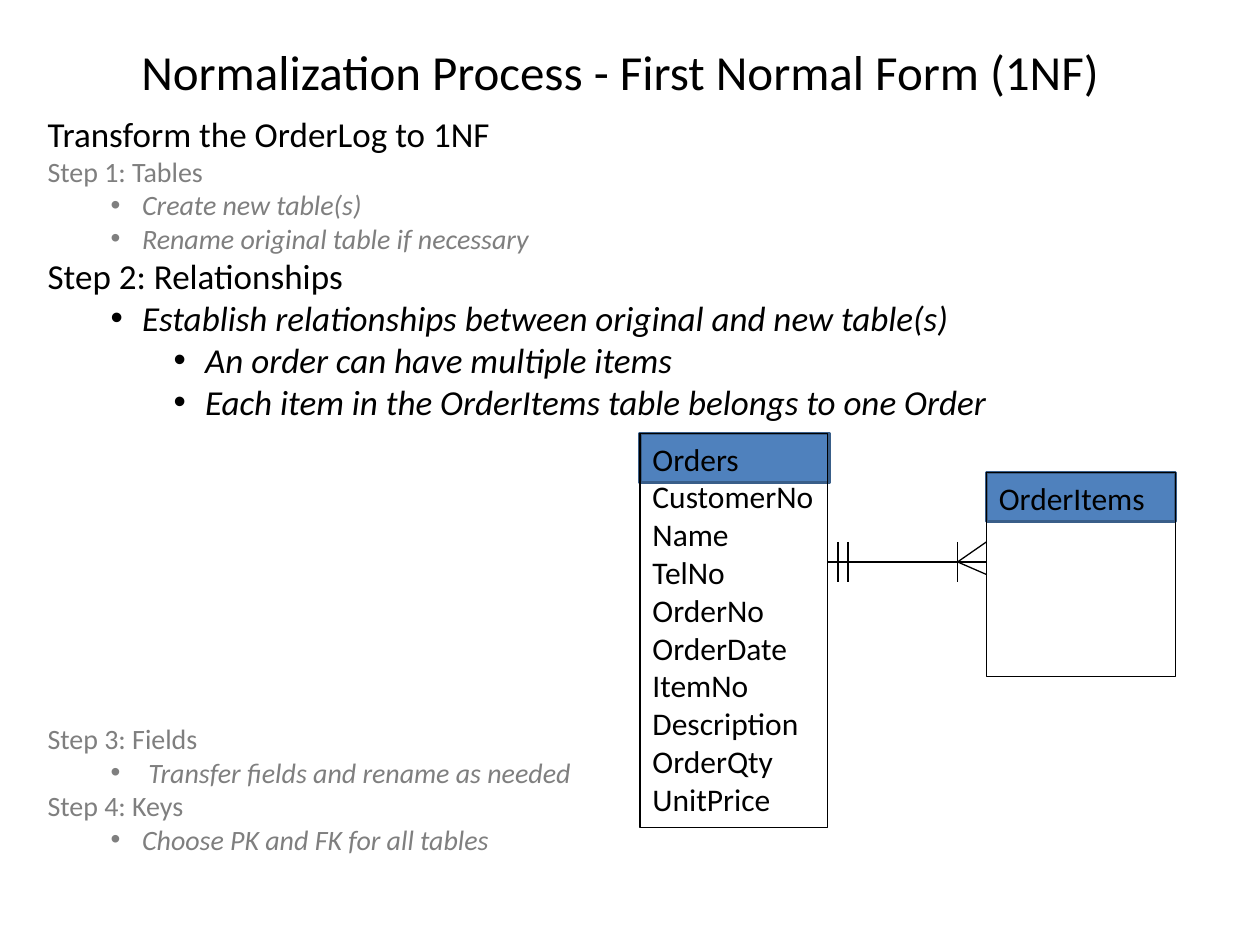
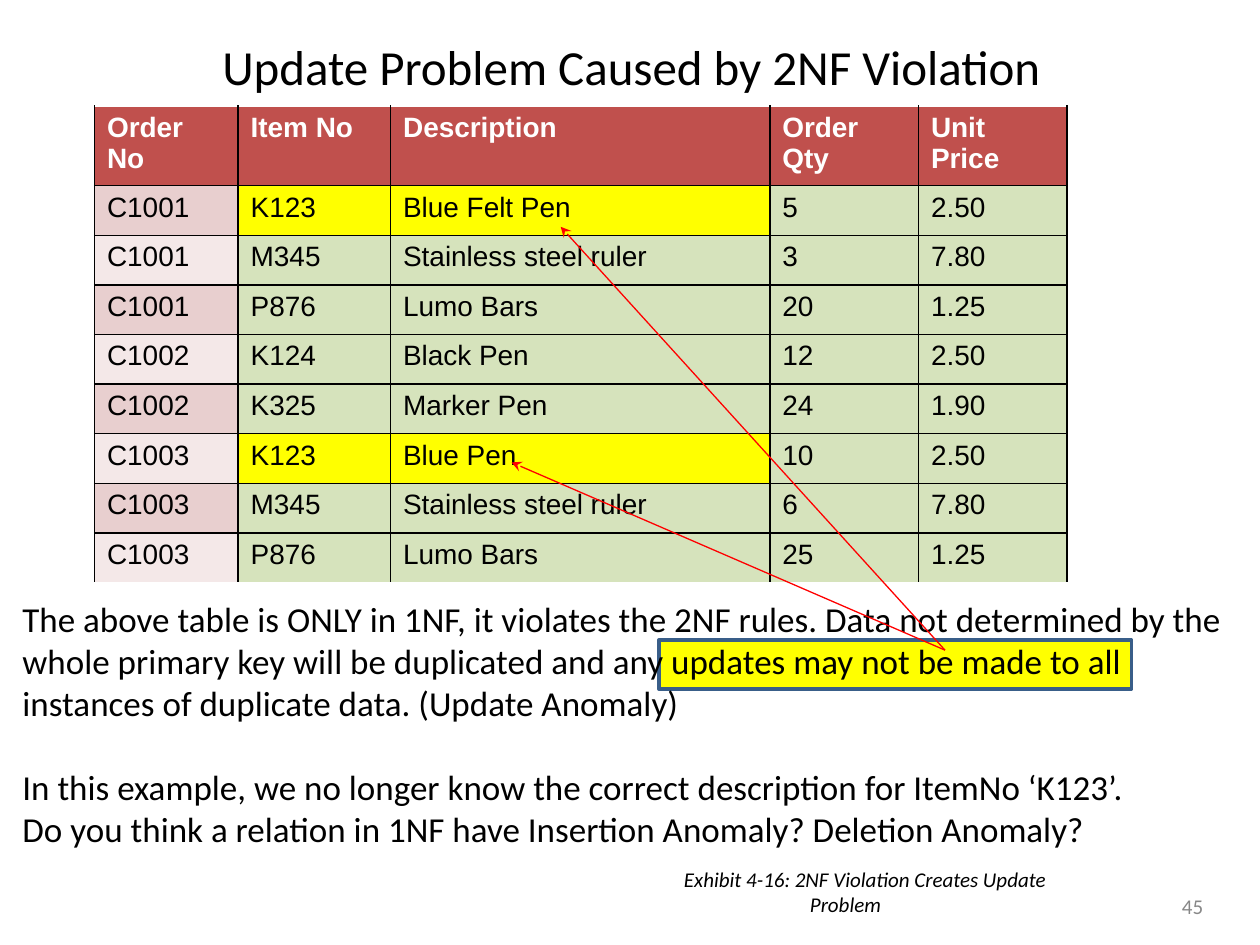
"""Build two slides on database normalization: 1NF relationships and the 2NF update problem."""
from dataclasses import dataclass

from lxml import etree
from pptx import Presentation
from pptx import util as u
from pptx.dml.color import RGBColor
from pptx.enum import shapes, text
from pptx.oxml import ns

PX = 9144


@dataclass(frozen=True)
class Theme:
    body_font: str = "Calibri"
    table_font: str = "Arial"
    title_size: int = 28
    body_size: int = 20
    entity_size: int = 18
    muted_size: int = 16
    small_size: int = 12
    black: str = "000000"
    white: str = "FFFFFF"
    muted: str = "7F7F7F"
    page_number: str = "888888"
    blue: str = "4F81BD"
    dark_blue: str = "395E89"
    yellow: str = "FFFF00"
    red: str = "FF0000"
    table_header: str = "C0504D"
    table_green: str = "D6E3BC"
    key_bands: tuple = ("E8CFCF", "F4E8E8")
    thin: float = 0.75
    table_rule: int = 1
    thick: int = 2


@dataclass
class Line:
    words: str
    size: int
    color: str = "000000"
    font: str = "Calibri"
    bold: bool = False
    italic: bool = False
    align: text.PP_ALIGN = text.PP_ALIGN.LEFT
    margin: int = 0
    hanging: int = 0
    before: float = 0


theme = Theme()
CENTER = text.PP_ALIGN.CENTER
MIDDLE = text.MSO_ANCHOR.MIDDLE


def add_box(slide, bounds, lines=(), fill=None, outline=None, weight=theme.thin, anchor=text.MSO_ANCHOR.TOP):
    """Add a rectangle or, without an outline, a text box, and write its lines."""
    bounds = [length * PX for length in bounds]
    if outline:
        shape = slide.shapes.add_shape(shapes.MSO_SHAPE.RECTANGLE, *bounds)
        shape.shadow.inherit = False
        shape.line.color.rgb = RGBColor.from_string(outline)
        shape.line.width = u.Pt(weight)
    else:
        shape = slide.shapes.add_textbox(*bounds)
    if fill:
        shape.fill.solid()
        shape.fill.fore_color.rgb = RGBColor.from_string(fill)
    else:
        shape.fill.background()
    frame = shape.text_frame
    frame.word_wrap = True
    frame.vertical_anchor = anchor
    for index, line in enumerate(lines):
        paragraph = frame.add_paragraph() if index else frame.paragraphs[0]
        paragraph.alignment = line.align
        properties = paragraph._p.get_or_add_pPr()
        properties.set("marL", str(line.margin * PX))
        properties.set("indent", str(-line.hanging * PX))
        if line.hanging:
            etree.SubElement(properties, ns.qn("a:buFont"), typeface=theme.table_font)
            etree.SubElement(properties, ns.qn("a:buChar"), char="•")
        if line.before:
            paragraph.space_before = u.Pt(line.before)
        run = paragraph.add_run()
        run.text = line.words
        run.font.name = line.font
        run.font.size = u.Pt(line.size)
        run.font.bold = line.bold
        run.font.italic = line.italic
        run.font.color.rgb = RGBColor.from_string(line.color)
    return shape


def add_line(slide, start, end, color=theme.black, arrow=False):
    """Add a thin straight connector, with an arrowhead at its end on request."""
    connector = slide.shapes.add_connector(
        shapes.MSO_CONNECTOR.STRAIGHT, *(length * PX for length in (*start, *end)))
    connector.line.color.rgb = RGBColor.from_string(color)
    connector.line.width = u.Pt(theme.thin)
    properties = connector._element.spPr
    if arrow:
        etree.SubElement(properties.find(ns.qn("a:ln")), ns.qn("a:tailEnd"), type="stealth")
    etree.SubElement(properties, ns.qn("a:effectLst"))
    return connector


presentation = Presentation()
presentation.slide_width = 1000 * PX
presentation.slide_height = 750 * PX

TITLES = [
    ("Normalization Process - First Normal Form (1NF)", (67, 21, 850, 71)),
    ("Update Problem Caused by 2NF Violation", (51, 21, 900, 63)),
]
slides = []
for title, bounds in TITLES:
    slide = presentation.slides.add_slide(presentation.slide_layouts[6])
    add_box(slide, bounds, [Line(title, theme.title_size, align=CENTER)], anchor=MIDDLE)
    slides.append(slide)
process_slide, update_slide = slides

BODY_LINE_HEIGHT = 24.4
DIAGRAM_LINES = 7
STEPS = [
    ("Transform the OrderLog to 1NF", 0, True),
    ("Step 1: Tables", 0, False),
    ("Create new table(s)", 1, False),
    ("Rename original table if necessary", 1, False),
    ("Step 2: Relationships", 0, True),
    ("Establish relationships between original and new table(s)", 1, True),
    ("An order can have multiple items", 2, True),
    ("Each item in the OrderItems table belongs to one Order", 2, True),
    ("Step 3: Fields", 0, False),
    ("Transfer fields and rename as needed", 1, False),
    ("Step 4: Keys", 0, False),
    ("Choose PK and FK for all tables", 1, False),
]
step_lines = []
for words, level, active in STEPS:
    step_lines.append(Line(
        words,
        theme.body_size if active else theme.muted_size,
        theme.black if active else theme.muted,
        italic=level > 0,
        margin=25 + 50 * level if level else 0,
        hanging=25 if level else 0,
    ))
step_three, transfer = step_lines[8:10]
step_three.before = DIAGRAM_LINES * BODY_LINE_HEIGHT
transfer.margin += 5
transfer.hanging += 5
add_box(process_slide, (28, 84, 793, 602), step_lines)

ENTITIES = [
    (508, 344, 149, 313, ["Orders", "CustomerNo", "Name", "TelNo", "OrderNo", "OrderDate",
                          "ItemNo", "Description", "OrderQty", "UnitPrice"]),
    (783, 375, 150, 162, ["OrderItems"]),
]
for left, top, width, height, fields in ENTITIES:
    add_box(process_slide, (left, top, 150, 39), fill=theme.blue, outline=theme.dark_blue, weight=theme.thick)
    entity = add_box(process_slide, (left, top, width, height),
                     [Line(field, theme.entity_size) for field in fields], outline=theme.black)

orders_edge, items_edge, crow_x, link_y = 657, 783, 760, 446
add_line(process_slide, (orders_edge, link_y), (items_edge, link_y))
add_line(process_slide, (crow_x, link_y), (items_edge, 430))
lower_toe = add_line(process_slide, (crow_x, link_y), (items_edge, 456))
lower_toe.end_connect(entity, 1)
for bar_x in (665, 673, crow_x):
    add_line(process_slide, (bar_x, link_y - 16), (bar_x, link_y + 16))

add_box(update_slide, (523, 508, 375, 39), fill=theme.yellow, outline=theme.dark_blue, weight=theme.thick)

ORDER_ROWS = [
    ("Order No", "Item No", "Description", "Order\nQty", "Unit\nPrice"),
    ("C1001", "K123", "Blue Felt Pen", "5", "2.50"),
    ("C1001", "M345", "Stainless steel ruler", "3", "7.80"),
    ("C1001", "P876", "Lumo Bars", "20", "1.25"),
    ("C1002", "K124", "Black Pen", "12", "2.50"),
    ("C1002", "K325", "Marker Pen", "24", "1.90"),
    ("C1003", "K123", "Blue Pen", "10", "2.50"),
    ("C1003", "M345", "Stainless steel ruler", "6", "7.80"),
    ("C1003", "P876", "Lumo Bars", "25", "1.25"),
]
COLUMN_WIDTHS = [114, 121, 301, 118, 118]
HEADER_HEIGHT, BODY_HEIGHT = 56, 315
last_row = len(ORDER_ROWS) - 1
table = update_slide.shapes.add_table(
    len(ORDER_ROWS), len(COLUMN_WIDTHS), 75 * PX, 84 * PX,
    sum(COLUMN_WIDTHS) * PX, (HEADER_HEIGHT + BODY_HEIGHT) * PX).table
for column, width in zip(table.columns, COLUMN_WIDTHS):
    column.width = width * PX
for row_index, values in enumerate(ORDER_ROWS):
    header = row_index == 0
    table.rows[row_index].height = HEADER_HEIGHT * PX if header else BODY_HEIGHT * PX // last_row
    for column_index, value in enumerate(values):
        cell = table.cell(row_index, column_index)
        borders = {
            "a:lnL": theme.black,
            "a:lnR": theme.black,
            "a:lnT": theme.white if header else theme.black,
            "a:lnB": theme.white if row_index == last_row else theme.black,
        }
        for tag, color in borders.items():
            border = etree.SubElement(cell._tc.get_or_add_tcPr(), ns.qn(tag), w=str(u.Pt(theme.table_rule)))
            solid = etree.SubElement(border, ns.qn("a:solidFill"))
            etree.SubElement(solid, ns.qn("a:srgbClr"), val=color)
        if header:
            fill = theme.table_header
        elif column_index == 0:
            fill = theme.key_bands[(row_index - 1) % 2]
        elif values[1] == "K123" and column_index < 3:
            fill = theme.yellow
        else:
            fill = theme.table_green
        cell.fill.solid()
        cell.fill.fore_color.rgb = RGBColor.from_string(fill)
        for index, words in enumerate(value.split("\n")):
            paragraph = cell.text_frame.add_paragraph() if index else cell.text_frame.paragraphs[0]
            run = paragraph.add_run()
            run.text = words
            run.font.name = theme.table_font
            run.font.size = u.Pt(theme.muted_size)
            run.font.bold = header
            run.font.color.rgb = RGBColor.from_string(theme.white if header else theme.black)

add_box(update_slide, (533, 683, 338, 50), [
    Line("Exhibit 4-16: 2NF Violation Creates Update", theme.small_size, italic=True),
    Line("Problem", theme.small_size, italic=True, margin=100),
])
add_box(update_slide, (8, 469, 980, 246), [
    Line("The above table is ONLY in 1NF, it violates the 2NF rules. Data not determined by the "
         "whole primary key will be duplicated and any updates may not be made to all instances "
         "of duplicate data. (Update Anomaly)", theme.body_size),
    Line("In this example, we no longer know the correct description for ItemNo ‘K123’.",
         theme.body_size, before=BODY_LINE_HEIGHT),
    Line("Do you think a relation in 1NF have Insertion Anomaly? Deletion Anomaly?", theme.body_size),
])
add_box(update_slide, (917, 703, 59, 32),
        [Line("45", theme.small_size, theme.page_number, align=CENTER)], anchor=MIDDLE)
for description_end in ((445, 180), (406, 367)):
    add_line(update_slide, (750, 516), description_end, theme.red, arrow=True)

presentation.save("out.pptx")
